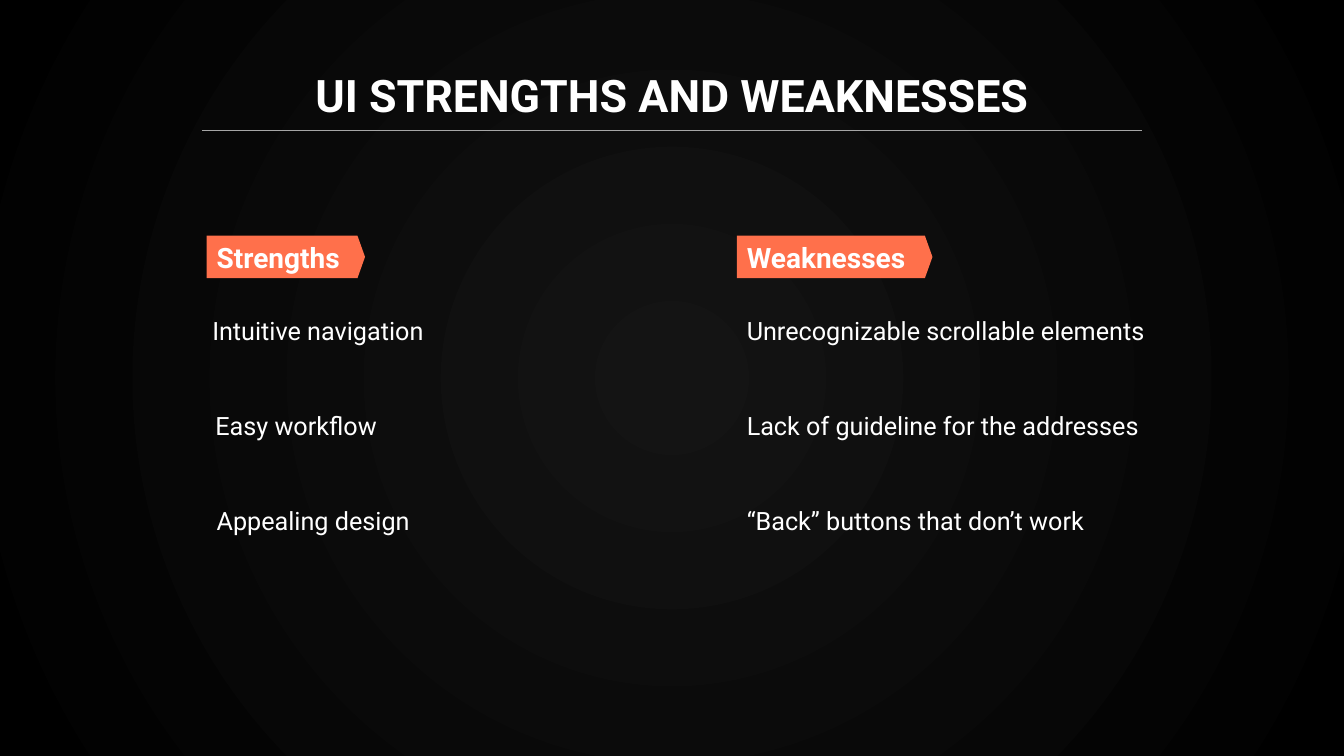
from lxml import etree
from pptx import Presentation
from pptx.dml.color import RGBColor
from pptx.enum.shapes import MSO_CONNECTOR, MSO_SHAPE
from pptx.enum.text import MSO_ANCHOR, MSO_AUTO_SIZE, PP_ALIGN
from pptx.oxml import parse_xml
from pptx.oxml.ns import nsdecls, qn
from pptx.util import Cm, Pt

TAG = MSO_SHAPE.PENTAGON
LINE = MSO_CONNECTOR.STRAIGHT
MID, LOW, TOP = MSO_ANCHOR.MIDDLE, MSO_ANCHOR.BOTTOM, MSO_ANCHOR.TOP
LEFT, MIDDLE = PP_ALIGN.LEFT, PP_ALIGN.CENTER
COLORS = {"white": "FFFFFF", "orange": "FF704B", "rule": "A6A6A6",
          "glow": "141414", "black": "000000"}


def color(name):
    return RGBColor.from_string(COLORS[name])


def write(shape, text, size, bold=False, align=LEFT, anchor=TOP):
    frame = shape.text_frame
    frame.word_wrap = True
    frame.auto_size = MSO_AUTO_SIZE.NONE
    frame.vertical_anchor = anchor
    para = frame.paragraphs[0]
    para.text = text
    para.alignment = align
    para.font.name = "Roboto"
    para.font.size = Pt(size)
    para.font.bold = bold
    para.font.color.rgb = color("white")
    return frame


deck = Presentation()
deck.slide_width, deck.slide_height = Cm(33.87), Cm(19.05)
slide = deck.slides.add_slide(deck.slide_layouts[5])
shapes = slide.shapes

# Background: glow from the centre
fill = slide.background.fill
fill.gradient()
for stop, name in zip(fill.gradient_stops, ("glow", "black")):
    stop.color.rgb = color(name)
grad = slide.background._cSld.find(".//" + qn("a:gradFill"))
grad.replace(grad.find(qn("a:lin")), parse_xml(
    f'<a:path {nsdecls("a")} path="circle">'
    '<a:fillToRect l="50000" t="50000" r="50000" b="50000"/></a:path>'))

# Title and rule
title = shapes.title
title.left, title.top = Cm(4.42), Cm(1.63)
title.width, title.height = Cm(25.04), Cm(1.68)
frame = write(title, "UI STRENGTHS AND WEAKNESSES", 32, True, MIDDLE, LOW)
frame.margin_top = frame.margin_bottom = Cm(0.25)
rule = shapes.add_connector(LINE, Cm(5.1), Cm(3.3), Cm(28.78), Cm(3.3))
rule.line.color.rgb = color("rule")
rule.line.width = Pt(0.75)
etree.SubElement(rule._element.spPr, qn("a:effectLst"))

# Columns: heading, left, width, then each item with its left
columns = [
    ("Strengths", 5.21, 3.99, [("Intuitive navigation", 5.1),
                               ("Easy workflow", 5.18),
                               ("Appealing design", 5.21)]),
    ("Weaknesses", 18.57, 4.93, [("Unrecognizable scrollable elements", 18.57),
                                 ("Lack of guideline for the addresses", 18.57),
                                 ("“Back” buttons that don’t work", 18.57)]),
]
for head, left, width, items in columns:
    tag = shapes.add_shape(TAG, Cm(left), Cm(5.94), Cm(width), Cm(1.07))
    tag.adjustments[0] = 0.178
    tag.shadow.inherit = False
    tag.fill.solid()
    tag.fill.fore_color.rgb = color("orange")
    tag.line.fill.background()
    write(tag, head, 20, True, anchor=MID)
    for row, (text, start) in enumerate(items):
        box = shapes.add_textbox(Cm(start), Cm(7.82 + 2.39 * row),
                                 Cm(11.84), Cm(1.02))
        write(box, text, 18)

deck.save("out.pptx")
